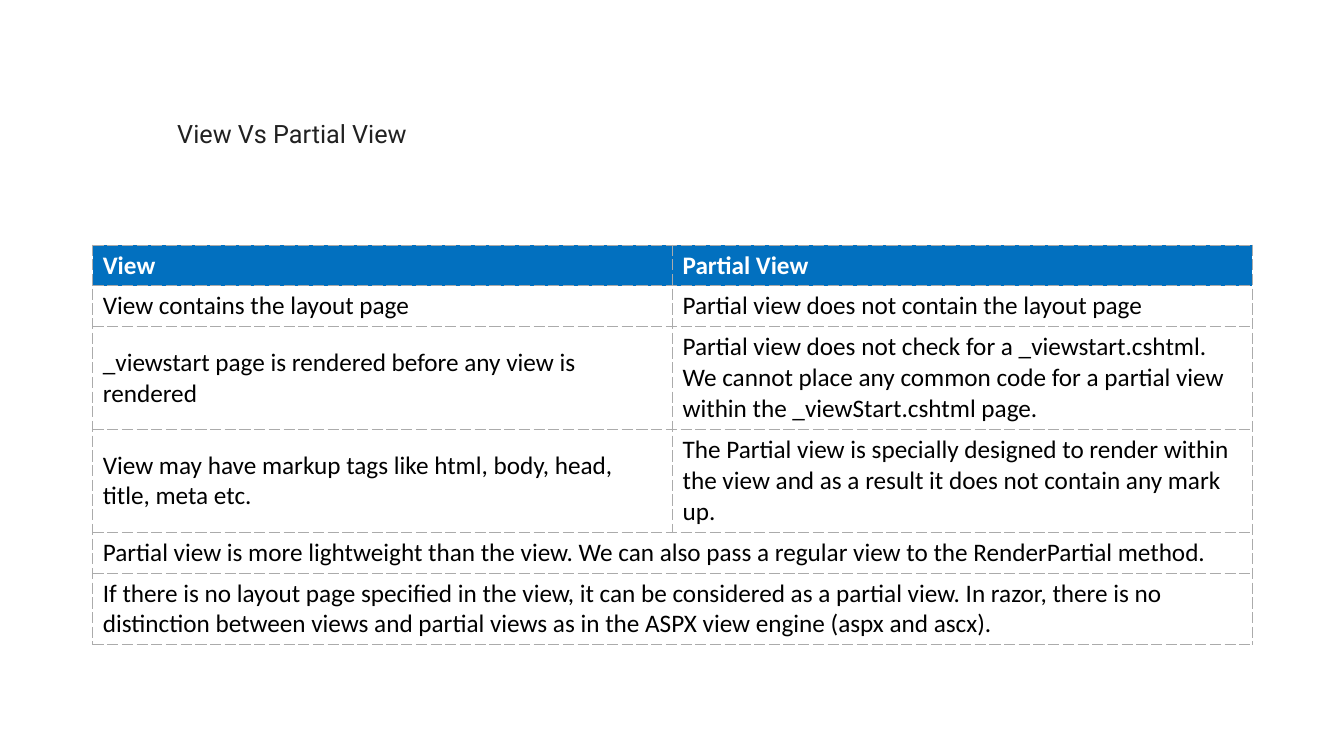
from lxml.etree import SubElement
from pptx import Presentation
from pptx.dml.color import RGBColor
from pptx.enum.shapes import MSO_SHAPE
from pptx.enum.text import MSO_ANCHOR, PP_ALIGN
from pptx.oxml.ns import qn
from pptx.util import Inches, Pt

HEADINGS = ("View", "Partial View")
COMPARISONS = [
    ("View contains the layout page",
     "Partial view does not contain the layout page"),
    ("_viewstart page is rendered before any view is rendered",
     "Partial view does not check for a _viewstart.cshtml. We cannot place any "
     "common code for a partial view within the _viewStart.cshtml page."),
    ("View may have markup tags like html, body, head, title, meta etc.",
     "The Partial view is specially designed to render within the view and as "
     "a result it does not contain any mark up."),
]
REMARKS = [
    ("Partial view is more lightweight than the view. We can also pass a "
     "regular view to the RenderPartial method.",),
    ("If there is no layout page specified in the view, it can be considered "
     "as a partial view. In razor, there is no distinction between views and "
     "partial views as in the ASPX view engine (aspx and ascx).",),
]
ROW_HEIGHTS = (0.4, 0.4, 1.02, 1.02, 0.4, 0.7)
COLUMN_WIDTH = 5.75

TITLE_FONT = {"name": "Roboto", "size": Pt(18), "bold": False}
HEADING_FONT = {"name": "Calibri", "size": Pt(18), "bold": True}
BODY_FONT = {**HEADING_FONT, "bold": False}


def color(hex_value):
    return RGBColor.from_string(hex_value)


def paint(fill, hex_value):
    fill.solid()
    fill.fore_color.rgb = color(hex_value)


def write(frame, text, font_values, hex_value):
    paragraph = frame.paragraphs[0]
    paragraph.alignment = PP_ALIGN.LEFT
    run = paragraph.add_run()
    run.text = text
    for attribute, value in font_values.items():
        setattr(run.font, attribute, value)
    run.font.color.rgb = color(hex_value)


def dash_borders(cell):
    properties = cell._tc.get_or_add_tcPr()
    for position, side in enumerate(("lnL", "lnR", "lnT", "lnB")):
        line = SubElement(properties, qn(f"a:{side}"), w=str(Pt(0.6)))
        SubElement(SubElement(line, qn("a:solidFill")), qn("a:srgbClr"), val="ABABAB")
        SubElement(line, qn("a:prstDash"), val="dash")
        # Borders come before the cell fill in the schema
        properties.insert(position, line)


def add_title(slide, text):
    title = slide.shapes.add_shape(
        MSO_SHAPE.RECTANGLE, Inches(1.66), Inches(1.17), Inches(4.7), Inches(0.5))
    title.shadow.inherit = False
    paint(title.fill, "FFFFFF")
    title.line.fill.background()
    frame = title.text_frame
    layout = {"word_wrap": True, "vertical_anchor": MSO_ANCHOR.TOP,
              "margin_top": 0, "margin_bottom": 0}
    for attribute, value in layout.items():
        setattr(frame, attribute, value)
    write(frame, text, TITLE_FONT, "212121")


def add_comparison(slide):
    rows = [HEADINGS, *COMPARISONS, *REMARKS]
    table = slide.shapes.add_table(
        len(rows), len(HEADINGS), Inches(0.92), Inches(2.43),
        Inches(COLUMN_WIDTH * len(HEADINGS)), Inches(sum(ROW_HEIGHTS))).table
    for column in table.columns:
        column.width = Inches(COLUMN_WIDTH)
    for index, (texts, height) in enumerate(zip(rows, ROW_HEIGHTS)):
        table.rows[index].height = Inches(height)
        cells = list(table.rows[index].cells)
        heading = index == 0
        for cell in cells:
            paint(cell.fill, "0270BF" if heading else "FFFFFF")
            cell.vertical_anchor = MSO_ANCHOR.MIDDLE
            dash_borders(cell)
        # A remark spans the whole row
        if len(texts) < len(cells):
            cells[0].merge(cells[-1])
        for cell, text in zip(cells, texts):
            write(cell.text_frame, text, HEADING_FONT if heading else BODY_FONT,
                  "FFFFFF" if heading else "000000")


def main():
    presentation = Presentation()
    presentation.slide_width = Inches(13.33)
    presentation.slide_height = Inches(7.5)
    slide = presentation.slides.add_slide(presentation.slide_layouts[6])
    add_comparison(slide)
    add_title(slide, "View Vs Partial View")
    presentation.save("out.pptx")


if __name__ == "__main__":
    main()
